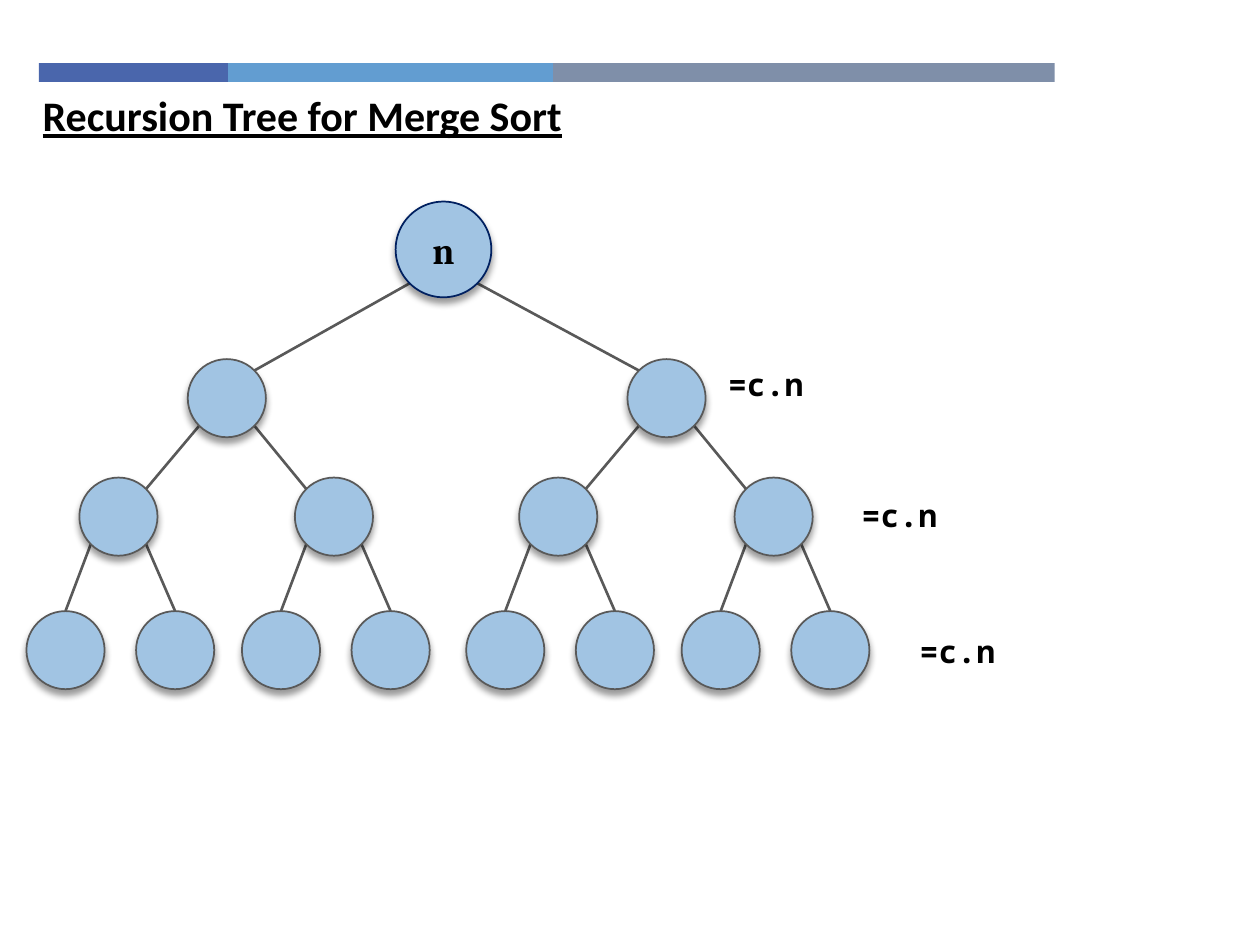
from dataclasses import dataclass
from math import sqrt

from lxml import etree
from pptx import Presentation
from pptx.dml.color import RGBColor
from pptx.enum.shapes import MSO_CONNECTOR, MSO_SHAPE
from pptx.enum.text import MSO_ANCHOR, PP_ALIGN
from pptx.oxml.ns import qn
from pptx.util import Inches, Pt

STRAIGHT = MSO_CONNECTOR.STRAIGHT
RECTANGLE, OVAL = MSO_SHAPE.RECTANGLE, MSO_SHAPE.OVAL
MIDDLE, CENTER = MSO_ANCHOR.MIDDLE, PP_ALIGN.CENTER

BLACK, NODE_FILL, GRAY, NAVY = "000000", "A1C4E3", "595959", "002060"
LEVEL_Y = (1.98, 3.16, 4.1, 5.16)
CHILD_OFFSETS = ((-1.72, 1.77), (-0.86, 0.85), (-0.42, 0.45))
ROOT_X, ROOT_RADIUS, NODE_RADIUS = 3.52, 0.38, 0.31


@dataclass
class Node:
    x: float
    level: int

    @property
    def y(self) -> float:
        return LEVEL_Y[self.level]

    @property
    def radius(self) -> float:
        return NODE_RADIUS if self.level else ROOT_RADIUS


@dataclass
class Label:
    text: str
    left: float
    top: float
    width: float
    height: float = 0.4
    font: str = "Noto Sans Mono"
    size: float = 18
    underline: bool = False


LABELS = (
    Label("Recursion Tree for Merge Sort", 0.24, 0.66, 4.76, 0.46, "Calibri", 24, True),
    Label("=c.n", 5.68, 2.85, 1.1),
    Label("=c.n", 6.74, 3.89, 1.72),
    Label("=c.n", 7.2, 4.97, 1.72),
)


def color(value: str) -> RGBColor:
    return RGBColor.from_string(value)


def style_text(paragraph, font: str, size: float) -> None:
    paragraph.font.name = font
    paragraph.font.size = Pt(size)
    paragraph.font.bold = True
    paragraph.font.color.rgb = color(BLACK)


def add_shape(slide, kind, left: float, top: float, width: float, height: float, fill: str):
    shape = slide.shapes.add_shape(
        kind, Inches(left), Inches(top), Inches(width), Inches(height))
    shape.shadow.inherit = False
    shape.fill.solid()
    shape.fill.fore_color.rgb = color(fill)
    shape.line.fill.background()
    return shape


def add_label(slide, label: Label) -> None:
    box = slide.shapes.add_textbox(
        Inches(label.left), Inches(label.top), Inches(label.width), Inches(label.height))
    box.text_frame.word_wrap = True
    paragraph = box.text_frame.paragraphs[0]
    paragraph.text = label.text
    style_text(paragraph, label.font, label.size)
    if label.underline:
        paragraph.font.underline = True


def add_node(slide, node: Node) -> None:
    shape = add_shape(slide, OVAL, node.x - node.radius, node.y - node.radius,
                      2 * node.radius, 2 * node.radius, NODE_FILL)
    shape.line.color.rgb = color(GRAY if node.level else NAVY)
    shape.line.width = Pt(1)
    # Soft shadow straight below the circle
    effects = shape._element.spPr.find(qn("a:effectLst"))
    shadow = etree.SubElement(effects, qn("a:outerShdw"), blurRad=str(Pt(4)),
                              dist=str(Pt(3)), dir="5400000", rotWithShape="0")
    shadow_color = etree.SubElement(shadow, qn("a:srgbClr"), val=BLACK)
    etree.SubElement(shadow_color, qn("a:alpha"), val="40000")
    if node.level == 0:
        frame = shape.text_frame
        frame.word_wrap = False
        frame.vertical_anchor = MIDDLE
        paragraph = frame.paragraphs[0]
        paragraph.text = "n"
        paragraph.alignment = CENTER
        style_text(paragraph, "Cambria", 21)


def add_edge(slide, parent: Node, child: Node) -> None:
    """Join the parent's lower diagonal to the child's upper diagonal, or a leaf's top."""
    side = 1 if child.x > parent.x else -1
    start = parent.radius / sqrt(2)
    is_leaf = child.level == len(LEVEL_Y) - 1
    end_x = 0 if is_leaf else child.radius / sqrt(2)
    end_y = child.radius if is_leaf else end_x
    line = slide.shapes.add_connector(
        STRAIGHT,
        Inches(parent.x + side * start), Inches(parent.y + start),
        Inches(child.x - side * end_x), Inches(child.y - end_y))
    line.line.color.rgb = color(GRAY)
    line.line.width = Pt(1.5)
    etree.SubElement(line._element.spPr, qn("a:effectLst"))


def build_tree(slide) -> None:
    nodes = [Node(ROOT_X, 0)]
    edges = []
    for parent in nodes:  # the list grows level by level down to the leaves
        if parent.level < len(CHILD_OFFSETS):
            for offset in CHILD_OFFSETS[parent.level]:
                child = Node(parent.x + offset, parent.level + 1)
                nodes.append(child)
                edges.append((parent, child))
    for parent, child in edges:
        add_edge(slide, parent, child)
    for node in nodes:
        add_node(slide, node)


def main() -> None:
    presentation = Presentation()
    presentation.slide_width, presentation.slide_height = Inches(10), Inches(7.5)
    slide = presentation.slides.add_slide(presentation.slide_layouts[6])

    # Colour bar
    left = 0.31
    for width, fill in ((1.5, "4A66AC"), (2.58, "629DD1"), (3.98, "7F8FA9")):
        add_shape(slide, RECTANGLE, left, 0.5, width, 0.15, fill)
        left += width

    # Recursion tree
    build_tree(slide)

    # Title and cost of each level
    for label in LABELS:
        add_label(slide, label)

    presentation.save("out.pptx")


if __name__ == "__main__":
    main()
